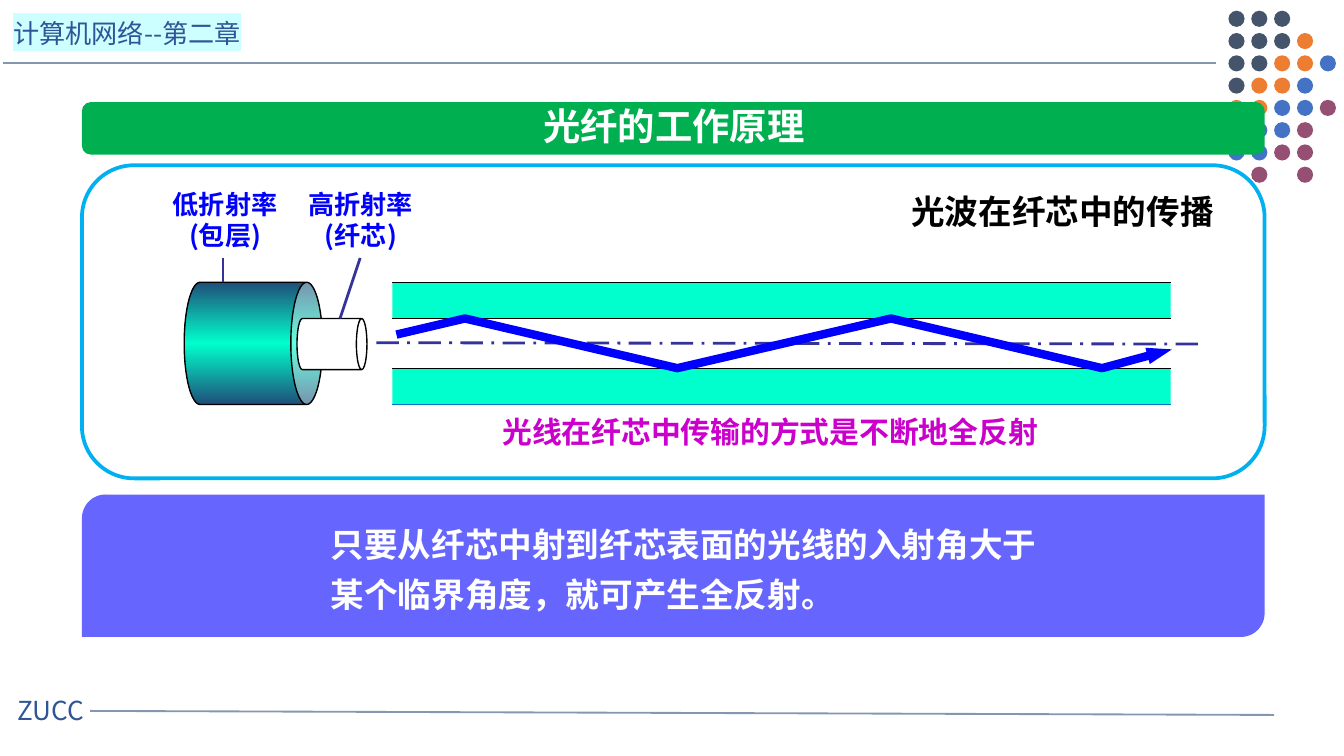
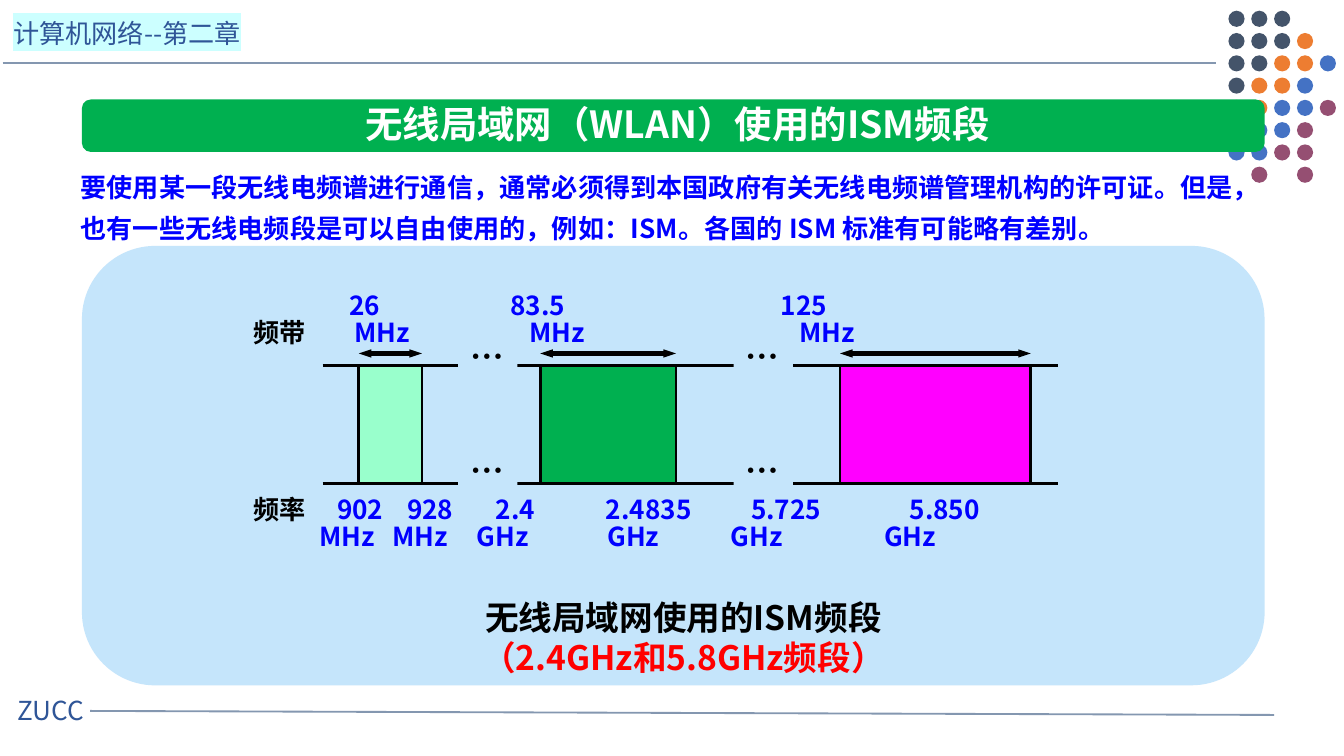
from dataclasses import dataclass
from lxml.etree import SubElement
from pptx import Presentation
from pptx.dml.color import RGBColor
from pptx.enum.dml import MSO_LINE
from pptx.enum.shapes import MSO_CONNECTOR, MSO_SHAPE
from pptx.enum.text import MSO_ANCHOR, MSO_AUTO_SIZE, PP_ALIGN
from pptx.oxml.ns import qn
from pptx.util import Inches, Pt


@dataclass(frozen=True)
class Theme:
    font: str = "Noto Sans CJK SC"
    white: str = "FFFFFF"
    black: str = "000000"
    rule: str = "8497B0"
    header: str = "2F5597"
    highlight: str = "CCFFFF"
    green: str = "00B050"
    frame: str = "00B0F0"
    statement: str = "6666FF"
    blue: str = "0000FF"
    red: str = "FF0000"
    purple: str = "CC00CC"
    magenta: str = "FF00FF"
    cladding: str = "00FFCC"
    cladding_edge: str = "1F4E79"
    cladding_base: str = "0070C0"
    axis: str = "333399"
    panel: str = "C5E5FB"
    mint: str = "99FFCC"
    title_size: int = 20
    large: int = 18
    medium: int = 16
    small: int = 14


THEME = Theme()
CENTER = PP_ALIGN.CENTER
DOT_COLORS = {"N": "44546A", "O": "ED7D31", "B": "4472C4", "P": "954F72"}
DOT_ROWS = ["NNN", "NNNO", "NNOOB", "NOOB", "OOBBP", " BBP", "BBPP", " P P"]


def apply_format(target, values):
    for name, value in values.items():
        setattr(target, name, value)


def place(shape, box):
    names = ("left", "top", "width", "height")
    apply_format(shape, dict(zip(names, map(Inches, box))))


def style_line(shape, color, width, dash=None, head=False, tail=False):
    shape.line.color.rgb = RGBColor.from_string(color)
    apply_format(shape.line, {"width": Pt(width), "dash_style": dash})
    outline = shape.element.spPr.find(qn("a:ln"))
    for tag, wanted in (("a:headEnd", head), ("a:tailEnd", tail)):
        if wanted:
            SubElement(outline, qn(tag), type="triangle", w="sm", len="med")


def add_block(slide, kind, box, fill, outline=None, width=1.0):
    shape = slide.shapes.add_shape(kind, *map(Inches, box))
    shape.shadow.inherit = False
    shape.fill.solid()
    shape.fill.fore_color.rgb = RGBColor.from_string(fill)
    if outline:
        style_line(shape, outline, width)
    else:
        shape.line.fill.background()
    return shape


def add_rule(slide, start, end, color, width, **options):
    connector = slide.shapes.add_connector(
        MSO_CONNECTOR.STRAIGHT, *map(Inches, (*start, *end)))
    style_line(connector, color, width, **options)
    SubElement(connector.element.spPr, qn("a:effectLst"))
    return connector


def add_run(paragraph, text, size, color, bold):
    run = paragraph.add_run()
    run.text = text
    apply_format(run.font, {"name": THEME.font, "size": Pt(size), "bold": bold})
    run.font.color.rgb = RGBColor.from_string(color)
    SubElement(run._r.get_or_add_rPr(), qn("a:ea"), typeface=THEME.font)


def write(frame, lines, size, color, bold=True, align=PP_ALIGN.LEFT,
          spacing=None, wrap=True):
    apply_format(frame, {"word_wrap": wrap, "auto_size": MSO_AUTO_SIZE.NONE,
                         "vertical_anchor": MSO_ANCHOR.TOP})
    for index, line in enumerate(lines):
        paragraph = frame.add_paragraph() if index else frame.paragraphs[0]
        apply_format(paragraph, {"alignment": align, "line_spacing": spacing,
                                 "space_before": Pt(0)})
        add_run(paragraph, line, size, color, bold)


def add_text(slide, box, lines, size, color, **options):
    text_box = slide.shapes.add_textbox(*map(Inches, box))
    write(text_box.text_frame, lines, size, color, **options)
    return text_box


def add_title(slide, text, left, top, width):
    add_block(slide, MSO_SHAPE.ROUNDED_RECTANGLE, (0.61, top, 8.8, 0.39), THEME.green)
    title = slide.shapes.title
    place(title, (left, top - 0.04, width, 0.44))
    write(title.text_frame, [text], THEME.title_size, THEME.white,
          align=CENTER, wrap=False)
    slide.shapes.element.append(title.element)


def add_body(slide, box, text, size, color, spacing):
    body = slide.placeholders[1]
    place(body, box)
    properties = body.text_frame.paragraphs[0]._p.get_or_add_pPr()
    properties.set("marL", "0")
    properties.set("indent", "0")
    SubElement(properties, qn("a:buNone"))
    write(body.text_frame, [text], size, color, spacing=Pt(spacing))
    slide.shapes.element.append(body.element)


def add_tabbed_rows(slide, box, rows):
    frame = slide.shapes.add_textbox(*map(Inches, box)).text_frame
    frame.word_wrap = True
    for index, (heading, labels) in enumerate(rows):
        paragraph = frame.add_paragraph() if index else frame.paragraphs[0]
        tabs = SubElement(paragraph._p.get_or_add_pPr(), qn("a:tabLst"))
        for _, left in labels:
            position = Inches(left - box[0] - 0.1)
            SubElement(tabs, qn("a:tab"), pos=str(position), algn="l")
        paragraph.line_spacing = 0.85
        if heading:
            add_run(paragraph, heading, THEME.small, THEME.black, True)
        text = "".join(f"\t{label}" for label, _ in labels)
        add_run(paragraph, text, THEME.small, THEME.blue, True)


def add_can(slide, box, depth, fill):
    can = add_block(slide, MSO_SHAPE.CAN, box, fill, THEME.black, 0.75)
    can.rotation = 90
    can.adjustments[0] = depth
    return can


def shade_cladding(can):
    can.fill.gradient()
    can.fill.gradient_angle = 0
    stops = can.element.spPr.find(qn("a:gradFill")).find(qn("a:gsLst"))
    stops.clear()
    colors = (THEME.cladding_edge, THEME.cladding, THEME.cladding_edge)
    for index, color in enumerate(colors):
        stop = SubElement(stops, qn("a:gs"), pos=str(index * 50000))
        SubElement(stop, qn("a:srgbClr"), val=color)


def build_shared_frame(slide, layout):
    chapter = add_text(slide, (0, 0.08, 2.16, 0.34), ["计算机网络--第二章"],
                       THEME.small, THEME.header, bold=False)
    fill = chapter.element.find(".//" + qn("a:rPr")).find(qn("a:solidFill"))
    highlight = SubElement(fill.getparent(), qn("a:highlight"))
    SubElement(highlight, qn("a:srgbClr"), val=THEME.highlight)
    fill.addnext(highlight)
    parts = [
        add_rule(slide, (0.02, 0.47), (9.05, 0.47), THEME.rule, 1),
        add_rule(slide, (0.67, 5.29), (9.48, 5.32), THEME.rule, 1),
        add_text(slide, (0.03, 5.12, 0.89, 0.34), ["ZUCC"],
                 THEME.small, THEME.header, bold=False),
        chapter,
    ]
    for row, pattern in enumerate(DOT_ROWS):
        for column, key in enumerate(pattern):
            if key in DOT_COLORS:
                box = (9.14 + 0.17 * column, 0.08 + 1.16 / 7 * row, 0.12, 0.12)
                parts.append(add_block(slide, MSO_SHAPE.OVAL, box, DOT_COLORS[key]))
    for part in parts:
        layout.shapes.element.append(part.element)


def add_fiber_section(slide):
    left, right = 2.92, 8.71
    edges = [2.1, 2.37, 2.74, 3.01]
    fills = [THEME.cladding, THEME.white, THEME.cladding]
    for top, bottom, fill in zip(edges, edges[1:], fills):
        add_block(slide, MSO_SHAPE.RECTANGLE,
                  (left, top, right - left, bottom - top), fill)
    shade_cladding(add_can(slide, (1.43, 2.04, 0.91, 1.03), 0.26, THEME.cladding))
    add_can(slide, (2.28, 2.3, 0.38, 0.52), 0.207, THEME.white)
    for edge in edges[:3]:
        add_rule(slide, (left, edge), (right, edge), THEME.black, 0.75)
    add_rule(slide, (left, edges[3]), (right, edges[3]), THEME.cladding_base, 1)
    add_rule(slide, (2.8, 2.55), (8.93, 2.56), THEME.axis, 1.5,
             dash=MSO_LINE.LONG_DASH_DOT)


def add_light_ray(slide):
    points = [(2.95, 2.49), (3.46, 2.37), (5.04, 2.74),
              (6.63, 2.37), (8.2, 2.74), (8.72, 2.6)]
    points = [(Inches(x), Inches(y)) for x, y in points]
    builder = slide.shapes.build_freeform(*points[0])
    builder.add_line_segments(points[1:], close=False)
    ray = builder.convert_to_shape()
    ray.shadow.inherit = False
    ray.fill.background()
    style_line(ray, THEME.blue, 4.5, tail=True)


def build_fiber_slide(slide):
    add_title(slide, "光纤的工作原理", 3.93, 0.76, 2.17)
    add_block(slide, MSO_SHAPE.ROUNDED_RECTANGLE, (0.61, 1.23, 8.8, 2.33),
              THEME.white, THEME.frame, 2)
    add_block(slide, MSO_SHAPE.ROUND_2_DIAG_RECTANGLE, (0.61, 3.68, 8.8, 1.06),
              THEME.statement)
    add_body(slide, (2.36, 3.77, 5.65, 0.86),
             "只要从纤芯中射到纤芯表面的光线的入射角大于某个临界角度，就可产生全反射。",
             THEME.large, THEME.white, 27)
    add_text(slide, (6.65, 1.37, 2.51, 0.4), ["光波在纤芯中的传播"],
             THEME.large, THEME.black, align=CENTER)
    add_fiber_section(slide)
    callouts = [
        (2.19, ["高折射率", "(纤芯)"], (2.68, 1.92), (2.53, 2.37)),
        (1.18, ["低折射率", "(包层)"], (1.66, 1.92), (1.66, 2.1)),
    ]
    for left, lines, start, end in callouts:
        add_text(slide, (left, 1.35, 0.99, 0.57), lines,
                 THEME.small, THEME.blue, align=CENTER, wrap=False)
        add_rule(slide, start, end, THEME.axis, 1.5)
    add_text(slide, (3.64, 3.03, 4.24, 0.37), ["光线在纤芯中传输的方式是不断地全反射"],
             THEME.medium, THEME.purple, wrap=False)
    add_light_ray(slide)


def add_spectrum(slide):
    top, bottom = 2.72, 3.6
    for level in (top, bottom):
        add_rule(slide, (2.4, level), (7.87, level), THEME.black, 1.5)
    bands = [(2.67, 0.47, THEME.mint), (4.02, 1.01, THEME.green),
             (6.25, 1.42, THEME.magenta)]
    for left, width, fill in bands:
        add_block(slide, MSO_SHAPE.RECTANGLE, (left, top, width, bottom - top),
                  fill, THEME.black, 1.5)
        add_rule(slide, (left, top - 0.09), (left + width, top - 0.09),
                 THEME.black, 2.25, head=True, tail=True)
    for left in (3.41, 5.46):
        for gap_top, text_top in ((3.51, 3.3), (2.65, 2.45)):
            add_block(slide, MSO_SHAPE.RECTANGLE, (left, gap_top, 0.44, 0.17),
                      THEME.panel)
            add_text(slide, (left - 0.01, text_top, 0.45, 0.4), ["…"],
                     THEME.large, THEME.black, wrap=False)


def build_ism_slide(slide):
    add_block(slide, MSO_SHAPE.ROUNDED_RECTANGLE, (0.61, 1.83, 8.8, 3.27), THEME.panel)
    add_title(slide, "无线局域网（WLAN）使用的ISM频段", 2.44, 0.74, 5.2)
    add_body(slide, (0.5, 1.15, 9, 0.72),
             "要使用某一段无线电频谱进行通信，通常必须得到本国政府有关无线电频谱管理机构的许可证。"
             "但是，也有一些无线电频段是可以自由使用的，例如：ISM。各国的 ISM 标准有可能略有差别。",
             THEME.small, THEME.blue, 22)
    caption = add_text(slide, (2.94, 4.39, 4.29, 0.71), ["无线局域网使用的ISM频段"],
                       THEME.large, THEME.black, align=CENTER)
    paragraph = caption.text_frame.paragraphs[0]
    paragraph.add_line_break()
    add_run(paragraph, "（2.4GHz和5.8GHz频段）", THEME.large, THEME.red, True)
    add_tabbed_rows(slide, (1.79, 2.14, 6.18, 0.5), [
        ("", [("26", 2.6), ("83.5", 3.8), ("125", 5.81)]),
        ("频带", [("MHz", 2.64), ("MHz", 3.94), ("MHz", 5.95)]),
    ])
    add_tabbed_rows(slide, (1.79, 3.66, 6.37, 0.5), [
        ("频率", [("902", 2.51), ("928", 3.03), ("2.4", 3.69),
                ("2.4835", 4.51), ("5.725", 5.59), ("5.850", 6.77)]),
        ("", [("MHz", 2.38), ("MHz", 2.92), ("GHz", 3.55),
              ("GHz", 4.52), ("GHz", 5.44), ("GHz", 6.58)]),
    ])
    add_spectrum(slide)


def main():
    presentation = Presentation()
    width = Inches(10)
    apply_format(presentation, {"slide_width": width, "slide_height": width * 9 // 16})
    layout = presentation.slide_layouts[1]
    fiber_slide, ism_slide = [presentation.slides.add_slide(layout) for _ in range(2)]
    build_shared_frame(fiber_slide, layout)
    build_fiber_slide(fiber_slide)
    build_ism_slide(ism_slide)
    presentation.save("out.pptx")


if __name__ == "__main__":
    main()
